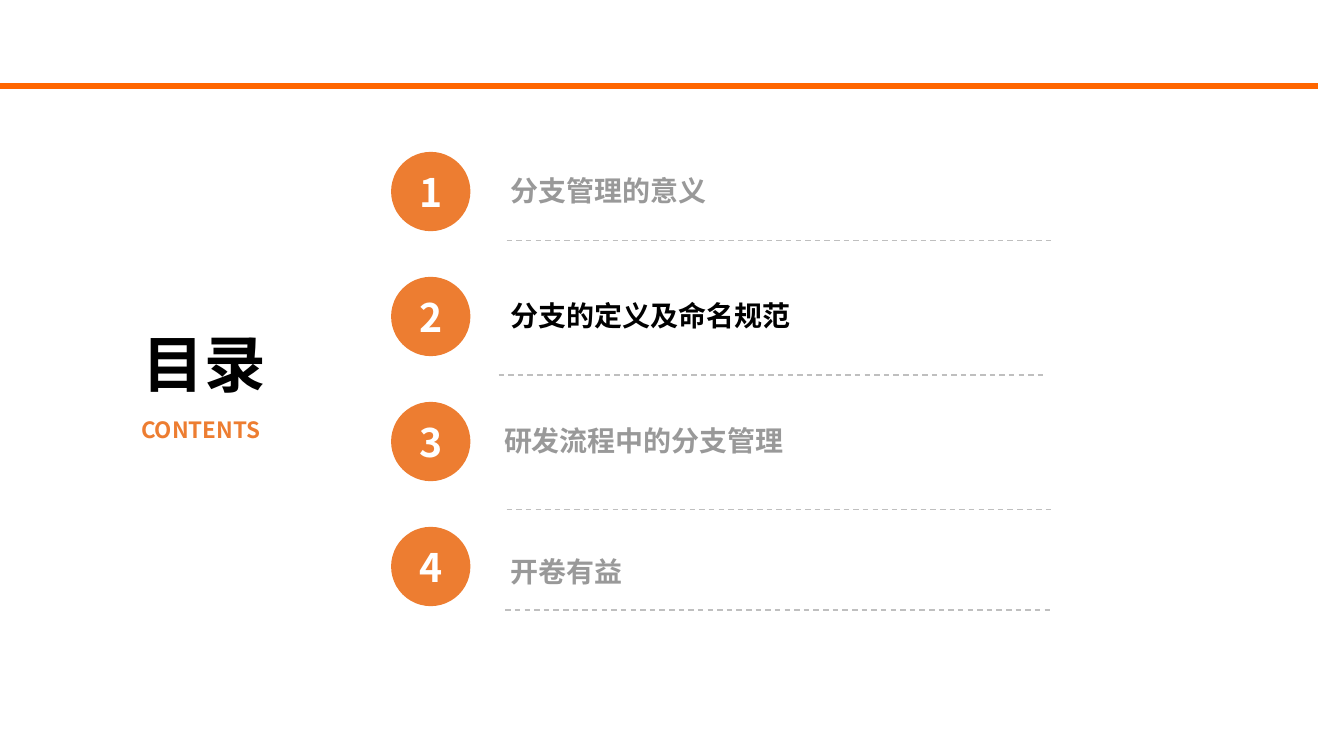
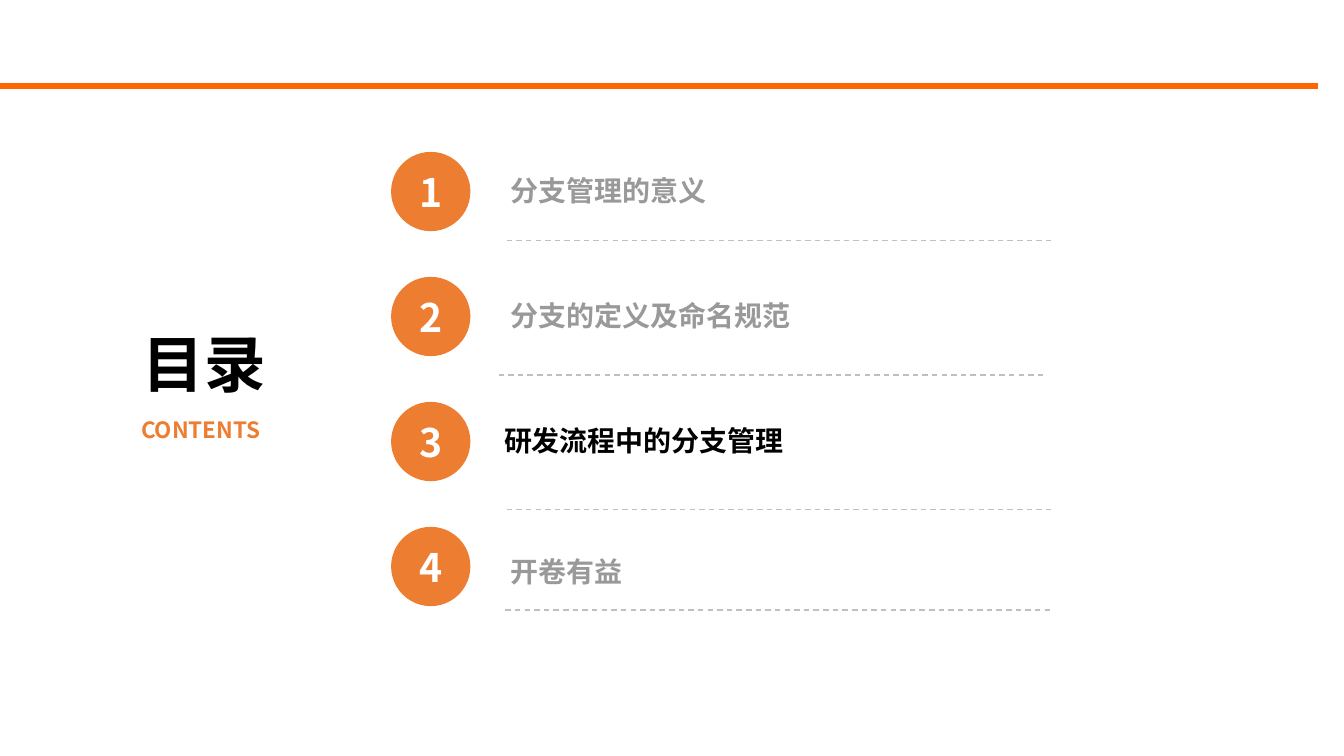
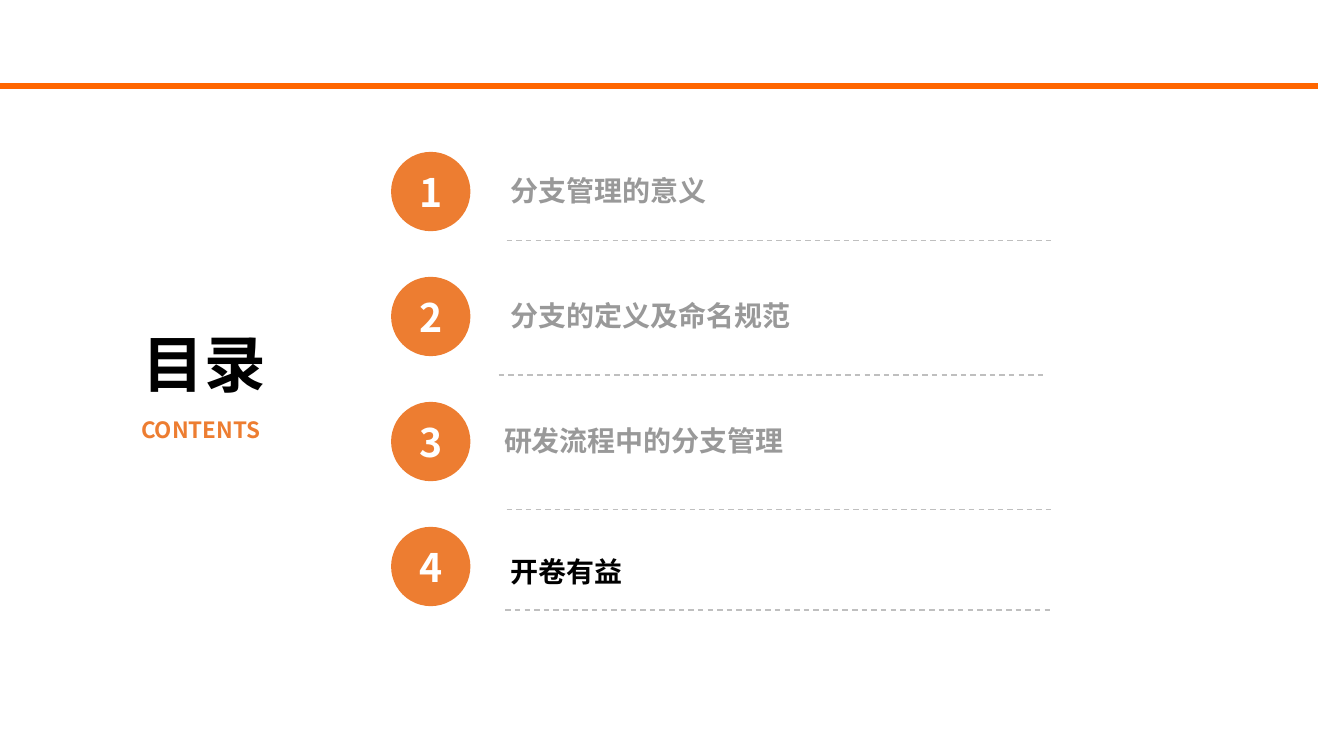
"""Builds three agenda slides, each with a different chapter highlighted."""
from lxml.etree import SubElement
from pptx import Presentation
from pptx.dml.color import RGBColor
from pptx.enum.dml import MSO_LINE
from pptx.enum.shapes import MSO_CONNECTOR, MSO_SHAPE
from pptx.enum.text import MSO_ANCHOR, PP_ALIGN
from pptx.oxml.ns import qn
from pptx.util import Inches, Pt

TITLE, SUBTITLE = "目录", "CONTENTS"
CHAPTERS = [
    dict(text="分支管理的意义", left=3.76, width=3.65, drop=0.08, rule=(3.77, 1.79)),
    dict(text="分支的定义及命名规范", left=3.76, width=3.65, drop=0.08, rule=(3.71, 2.79)),
    dict(text="研发流程中的分支管理", left=3.71, width=2.81, drop=0.08, rule=(3.77, 3.79)),
    dict(text="开卷有益", left=3.76, width=2.58, drop=0.13, rule=(3.76, 4.54)),
]
HIGHLIGHTS = [2, 3, 4]

FONT = "Noto Sans CJK SC"
BAND, ORANGE, GREY, RULE, BLACK, WHITE = "FF6600", "ED7D31", "999999", "BFBFBF", "000000", "FFFFFF"
WIDTH = 10
HEIGHT = WIDTH * 9 / 16
INSET = 0.04
BADGE_LEFT, BADGE_TOP, BADGE_SIZE, ROW_STEP = 2.91, 1.13, 0.59, 0.93
NUMBER_INSET, NUMBER_SIZE = 0.08, 0.43
LABEL_HEIGHT, RULE_LENGTH = 0.37, 4.07


def rgb(value):
    return RGBColor.from_string(value)


def add_text(s, box, text, size, color, anchor=MSO_ANCHOR.BOTTOM, align=PP_ALIGN.LEFT, bottom=INSET, spacing=1.0):
    tf = s.shapes.add_textbox(*map(Inches, box)).text_frame
    frame = dict(word_wrap=True, vertical_anchor=anchor, margin_bottom=Inches(bottom))
    frame.update({f"margin_{side}": Inches(INSET) for side in ("left", "top", "right")})
    for name, value in frame.items():
        setattr(tf, name, value)
    p = tf.paragraphs[0]
    p.alignment, p.line_spacing = align, spacing
    r = p.add_run()
    r.text = text
    for name, value in dict(name=FONT, size=Pt(size), bold=True).items():
        setattr(r.font, name, value)
    r.font.color.rgb = rgb(color)
    SubElement(r.font._element, qn("a:ea")).set("typeface", FONT)


def add_rule(s, left, top, length, color, weight, dash=None):
    ends = (left, top, left + length, top)
    sp = s.shapes.add_connector(MSO_CONNECTOR.STRAIGHT, *map(Inches, ends))
    sp.line.color.rgb = rgb(color)
    sp.line.width = Pt(weight)
    if dash:
        sp.line.dash_style = dash
    SubElement(sp._element.spPr, qn("a:effectLst"))


def add_badge(s, number, top):
    box = (BADGE_LEFT, top, BADGE_SIZE, BADGE_SIZE)
    sp = s.shapes.add_shape(MSO_SHAPE.OVAL, *map(Inches, box))
    sp.shadow.inherit = False
    sp.fill.solid()
    sp.fill.fore_color.rgb = rgb(ORANGE)
    sp.line.fill.background()
    inner = (BADGE_LEFT + NUMBER_INSET, top + NUMBER_INSET, NUMBER_SIZE, NUMBER_SIZE)
    add_text(s, inner, str(number), 21, WHITE, MSO_ANCHOR.MIDDLE, PP_ALIGN.CENTER)


def add_agenda(prs, current):
    s = prs.slides.add_slide(prs.slide_layouts[6])
    add_rule(s, 0, 0.64, 9.81, BAND, 3)
    add_text(s, (0.14, 1.96, 2.76, 1.58), TITLE, 33, BLACK, align=PP_ALIGN.CENTER, bottom=0.62)
    add_text(s, (1.01, 3.07, 1.57, 0.27), SUBTITLE, 12, ORANGE, spacing=0.9)
    for number, chapter in enumerate(CHAPTERS, 1):
        top = BADGE_TOP + (number - 1) * ROW_STEP
        add_badge(s, number, top)
        box = (chapter["left"], top + chapter["drop"], chapter["width"], LABEL_HEIGHT)
        add_text(s, box, chapter["text"], 15, BLACK if number == current else GREY)
        add_rule(s, *chapter["rule"], RULE_LENGTH, RULE, 0.75, MSO_LINE.DASH)


def main():
    prs = Presentation()
    prs.slide_width, prs.slide_height = Inches(WIDTH), Inches(HEIGHT)
    for current in HIGHLIGHTS:
        add_agenda(prs, current)
    prs.save("out.pptx")


if __name__ == "__main__":
    main()
